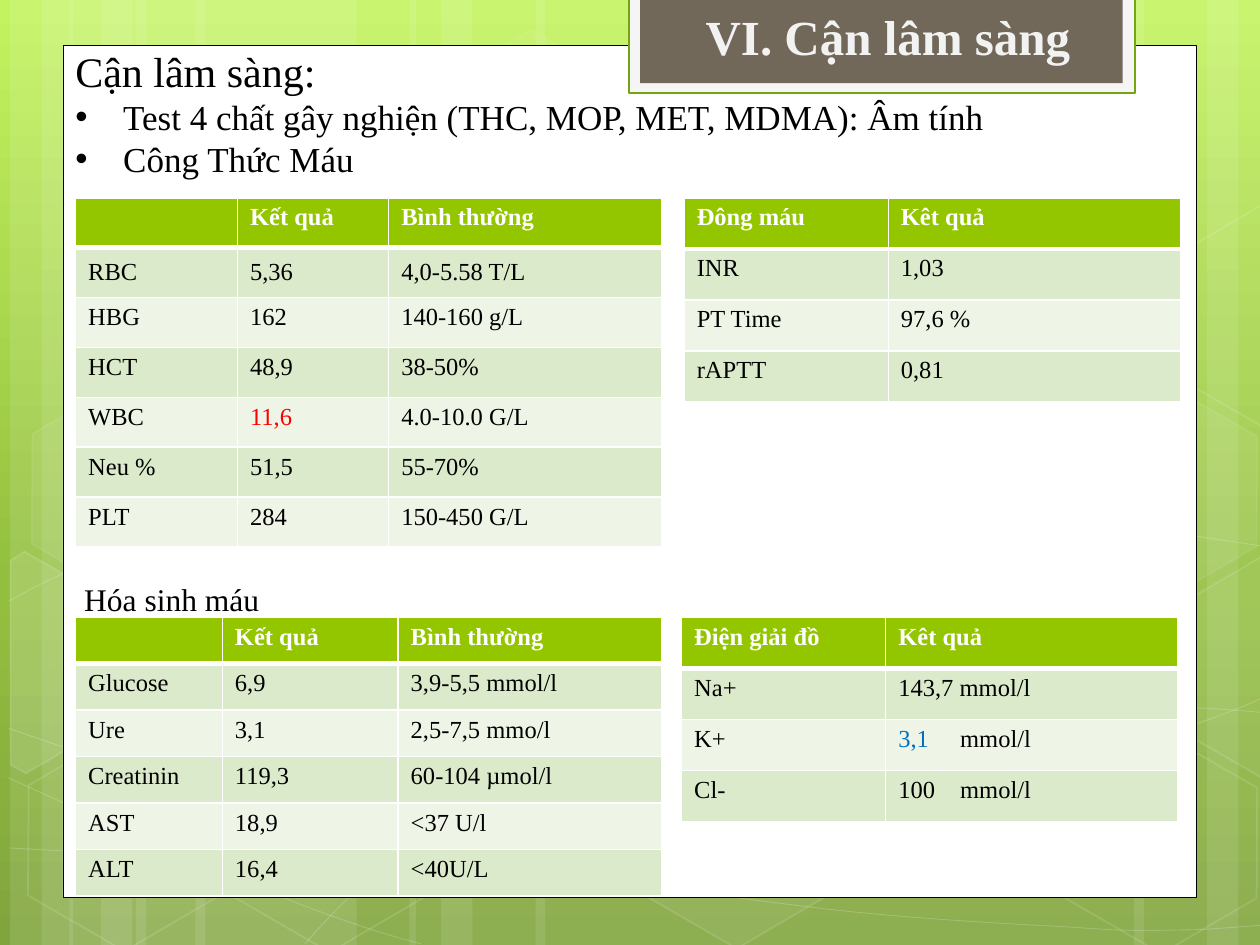
from copy import deepcopy
from dataclasses import dataclass

from lxml.etree import SubElement
from pptx import Presentation
from pptx.dml.color import RGBColor
from pptx.enum.shapes import MSO_SHAPE
from pptx.enum.text import MSO_ANCHOR, MSO_AUTO_SIZE, PP_ALIGN
from pptx.oxml.ns import qn
from pptx.util import Inches, Pt


@dataclass(frozen=True)
class Theme:
    font: str = "Times New Roman"
    white: str = "FFFFFF"
    black: str = "000000"
    red: str = "FF0000"
    blue: str = "0070C0"
    title: str = "F2F2F2"
    title_frame: str = "F5F5F5"
    title_edge: str = "74A510"
    title_fill: str = "71685A"
    header: str = "94C600"
    bands: tuple = ("DCEACC", "EEF5E7")
    backdrop: tuple = ((0, "C3F35F"), (0.62, "93BF3F"), (1, "81A53E"))
    title_size: int = 28
    lead_size: int = 24
    bullet_size: int = 20
    label_size: int = 18
    cell_size: int = 14


THEME = Theme()
COLUMNS, ROWS = 100, 75
TILT = 30

# Left, width in columns
STRIPES = [(10.8, 17.5), (0.8, 5), (3.3, 8.3), (15.5, 17.5), (5.5, 5), (8, 8.3),
           (73.3, 17.5), (95.8, 5), (90, 8.3), (42.5, 30.8), (32.5, 5), (35, 8.3)]
# Start point, then two handles and an end point for each bend
CURVES = [
    [(0.7, 67.3), (6.1, 67.6), (11.5, 67.9), (19, 67.8), (26.5, 67.7), (35.8, 67.5), (45.8, 66.5),
     (55.8, 65.5), (70, 63.6), (79.2, 61.7), (88.3, 59.8), (97.7, 56.8), (100.7, 55.1)],
    [(0.7, 47.7), (3.6, 46.1), (6.5, 44.6), (12.1, 43.1), (17.8, 41.6), (25.9, 39.4), (34.7, 38.7),
     (43.6, 38), (54.4, 37.9), (65.4, 38.7), (76.4, 39.5), (94.7, 42.6), (100.7, 43.4)],
    [(0.6, 61.7), (12.7, 67.2), (24.7, 72.7), (33.4, 74.9)],
    [(0.7, 57.8), (3.8, 58.9), (7, 60), (12.8, 61.6), (18.6, 63.1), (27.3, 65.6), (35.7, 67.3),
     (44, 69), (54.5, 70.8), (62.8, 71.8), (71.1, 72.9), (80, 73.3), (85.3, 73.6),
     (90.5, 74), (91.9, 73.8), (94.5, 73.8), (97.1, 73.7), (98.9, 73.5), (100.7, 73.4)],
    [(24.2, 74.9), (26, 72.9), (27.8, 70.9), (30.2, 69.1), (32.6, 67.3), (36, 65.3), (38.8, 63.9),
     (41.6, 62.5), (43.3, 61.9), (47, 60.9), (50.6, 59.9), (57.3, 58.5), (60.8, 57.8),
     (64.4, 57.1), (64.9, 57.1), (68, 56.9), (71.1, 56.6), (76, 56.3), (79.4, 56.2),
     (82.9, 56.1), (88.6, 56.2), (88.6, 56.2), (91, 56.2), (93, 56.2), (95.3, 56.2),
     (97.1, 56.3), (98.8, 56.4), (100.6, 56.6)],
]
# Left, top, opacity of the fill and of the line in percent
HEXAGONS = [(33.4, 3.6, 4, 8), (49.7, 58.9, 6, 12), (1.1, 59.1, 0, 12), (1.4, 31.2, 7, 8),
            (17.4, 59.2, 0, 12), (75.3, 45.3, 10, 12), (83.4, 59.3, 0, 12), (83.4, 31.4, 7, 8)]
# Hexagons cut by the slide's edge, corners before the tilt
LEFT_CUT = [(0, 1.2), (0.6, 0), (9.4, 0), (13.8, 7.7), (9.5, 15.2), (8.1, 15.2)]
RIGHT_CUT = [(0, 7.6), (4.3, 0), (5.2, 0), (13.6, 14.5), (13.2, 15.2), (4.4, 15.2)]
CUT_HEXAGONS = [(LEFT_CUT, -3.3, 45.9, 10), (RIGHT_CUT, 91.7, 44.4, 4), (RIGHT_CUT, 91.7, 16.5, 0)]

BLOOD_COUNT = [("", "Kết quả", "Bình thường"), ("RBC", "5,36", "4,0-5.58 T/L"),
               ("HBG", "162", "140-160 g/L"), ("HCT", "48,9", "38-50%"),
               ("WBC", [("11,6", THEME.red)], "4.0-10.0 G/L"),
               ("Neu %", "51,5", "55-70%"), ("PLT", "284", "150-450 G/L")]
BIOCHEMISTRY = [("", "Kết quả", "Bình thường"), ("Glucose", "6,9", "3,9-5,5 mmol/l"),
                ("Ure", "3,1", "2,5-7,5 mmo/l"), ("Creatinin", "119,3", "60-104 µmol/l"),
                ("AST", "18,9", "<37 U/l"), ("ALT", "16,4", "<40U/L")]
COAGULATION = [("Đông máu", "Kêt quả"), ("INR", "1,03"), ("PT Time", "97,6 %"), ("rAPTT", "0,81")]
ELECTROLYTES = [("Điện giải đồ", "Kêt quả"), ("Na+", "143,7 mmol/l"),
                ("K+", [("3,1", THEME.blue), ("\tmmol/l", THEME.black)]), ("Cl-", "100\tmmol/l")]


class SlideBuilder:
    def __init__(self, deck, theme):
        self.theme = theme
        self.column, self.row = deck.slide_width / COLUMNS, deck.slide_height / ROWS
        self.page = deck.slides.add_slide(deck.slide_layouts[5])

    def area(self, left, top, width, height):
        return [round(v * u) for v, u in zip((left, top, width, height), (self.column, self.row) * 2)]

    def backdrop(self):
        fill = self.page.background.fill
        fill.gradient()
        fill.gradient_angle = 270
        stops = self.page.element.find(".//" + qn("a:gsLst"))
        stops.append(deepcopy(stops[-1]))
        for stop, (position, color) in zip(fill.gradient_stops, self.theme.backdrop):
            stop.position, stop.color.rgb = position, RGBColor.from_string(color)

    def paint(self, shape, fill=None, opacity=100, line=None, weight=1, line_opacity=100):
        shape.shadow.inherit = False
        for target, color, share, place in ((shape.fill, fill, opacity, "a:solidFill"),
                                            (shape.line.fill, line, line_opacity, "a:ln/a:solidFill")):
            if not color or not share:
                target.background()
                continue
            target.solid()
            target.fore_color.rgb = RGBColor.from_string(color)
            if share < 100:
                where = "/".join(qn(name) for name in place.split("/"))
                SubElement(shape.element.spPr.find(where)[0], qn("a:alpha"), val=str(share * 1000))
        if line:
            shape.line.width = Pt(weight)

    def rectangle(self, area, **look):
        self.paint(self.page.shapes.add_shape(MSO_SHAPE.RECTANGLE, *self.area(*area)), **look)

    def hexagon(self, left, top, **look):
        shape = self.page.shapes.add_shape(MSO_SHAPE.HEXAGON, *self.area(left, top, 17.5, 15.2))
        shape.adjustments[0] = 0.285
        shape.rotation = TILT
        self.paint(shape, **look)

    def outline(self, points, close, **look):
        corners = [(x * self.column, y * self.row) for x, y in points]
        builder = self.page.shapes.build_freeform(*corners[0])
        builder.add_line_segments(corners[1:], close=close)
        shape = builder.convert_to_shape()
        self.paint(shape, **look)
        return shape

    def curve(self, points, **look):
        """Draw an open outline and turn each three of its segments into one cubic bend."""
        shape = self.outline(points, False, **look)
        segments = list(shape.element.iter(qn("a:lnTo")))
        for first in range(0, len(segments), 3):
            bend = SubElement(segments[first].getparent(), qn("a:cubicBezTo"))
            for segment in segments[first:first + 3]:
                bend.append(segment[0])
                segment.getparent().remove(segment)

    def format(self, para, size, color, bold=False):
        for span in para.runs:
            span.font.name, span.font.size, span.font.bold = self.theme.font, Pt(size), bold
            span.font.color.rgb = RGBColor.from_string(color)

    def title(self, text, area):
        box = self.page.shapes.title
        box.left, box.top, box.width, box.height = self.area(*area)
        frame = box.text_frame
        frame.text = text
        frame.auto_size, frame.vertical_anchor = MSO_AUTO_SIZE.NONE, MSO_ANCHOR.TOP
        frame.paragraphs[0].alignment = PP_ALIGN.LEFT
        self.format(frame.paragraphs[0], self.theme.title_size, self.theme.title, True)
        self.page.shapes.element.append(box.element)  # in front of its frame

    def text(self, lead, area, size, bullets=(), wrap=True):
        frame = self.page.shapes.add_textbox(*self.area(*area)).text_frame
        frame.word_wrap = wrap
        frame.text = "\n".join([lead, *bullets])
        self.format(frame.paragraphs[0], size, self.theme.black)
        for para in frame.paragraphs[1:]:
            self.format(para, self.theme.bullet_size, self.theme.black)
            properties = para._p.get_or_add_pPr()
            properties.set("marL", str(Inches(0.38)))
            properties.set("indent", str(-Inches(0.38)))
            SubElement(properties, qn("a:buFont"), typeface="Arial")
            SubElement(properties, qn("a:buChar"), char="•")

    def table(self, rows, left, top, widths, height):
        area = self.area(left, top, sum(widths), height)
        table = self.page.shapes.add_table(len(rows), len(widths), *area).table
        for column, width in zip(table.columns, widths):
            column.width = round(width * self.column)
        for index, values in enumerate(rows):
            for cell, value in zip(table.rows[index].cells, values):
                self.cell(cell, value, index)
        return table

    def cell(self, cell, value, index):
        theme = self.theme
        color = theme.black if index else theme.white
        spans = [(value, color)] if isinstance(value, str) else value
        para = cell.text_frame.paragraphs[0]
        para.text = spans[0][0]
        for text, _ in spans[1:]:
            para.add_run().text = text
        self.format(para, theme.cell_size, color, index == 0)
        for span, (_, shade) in zip(para.runs, spans):
            span.font.color.rgb = RGBColor.from_string(shade)
        if not para.runs:
            SubElement(para._p, qn("a:endParaRPr"), sz=str(theme.cell_size * 100))
        if "\t" in para.text:
            tabs = SubElement(para._p.get_or_add_pPr(), qn("a:tabLst"))
            SubElement(tabs, qn("a:tab"), pos=str(Inches(0.49)), algn="l")
        properties = cell._tc.get_or_add_tcPr()
        for side in "LRTB":
            thick = (side, index) in (("B", 0), ("T", 1))
            line = SubElement(properties, qn(f"a:ln{side}"), w=str(Pt(3 if thick else 1)))
            SubElement(SubElement(line, qn("a:solidFill")), qn("a:srgbClr"), val=theme.white)
        cell.fill.solid()
        cell.fill.fore_color.rgb = RGBColor.from_string(theme.bands[(index - 1) % 2] if index else theme.header)


def main():
    deck = Presentation()
    deck.slide_width, deck.slide_height = Inches(10), Inches(7.5)
    slide = SlideBuilder(deck, THEME)
    white = THEME.white
    slide.backdrop()
    for left, width in STRIPES:
        slide.rectangle((left, 0, width, ROWS), fill=white, opacity=10)
    for points in CURVES:
        slide.curve(points, line=white, weight=0.5, line_opacity=20)
    for left, top, opacity, line_opacity in HEXAGONS:
        slide.hexagon(left, top, fill=white, opacity=opacity, line=white, line_opacity=line_opacity)
    for corners, left, top, opacity in CUT_HEXAGONS:
        placed = [(left + x, top + y) for x, y in corners]
        slide.outline(placed, True, fill=white, opacity=opacity, line=white, line_opacity=12).rotation = TILT

    slide.rectangle((5, 3.6, 90, 67.6), fill=white, line=THEME.black, weight=0.5)
    slide.rectangle((49.9, -0.2, 40.2, 7.6), fill=THEME.title_frame, line=THEME.title_edge, weight=1.25)
    slide.rectangle((50.8, -0.2, 38.3, 6.8), fill=THEME.title_fill)
    slide.title("VI. Cận lâm sàng", (55, 0, 36.7, 5.7))
    slide.text("Cận lâm sàng:", (5, 3.1, 79.7, 18.5), THEME.lead_size,
               ["Test 4 chất gây nghiện (THC, MOP, MET, MDMA): Âm tính", "Công Thức Máu"])
    slide.text("Hóa sinh máu", (5.7, 45.5, 16.1, 7.1), THEME.label_size, wrap=False)
    blood_count = slide.table(BLOOD_COUNT, 6, 15.7, (12.85, 12, 21.65), 27.7)
    for cell in blood_count.rows[1].cells:
        cell.vertical_anchor = MSO_ANCHOR.MIDDLE
    slide.table(BIOCHEMISTRY, 6, 49, (11.65, 13.95, 20.9), 22.1)
    slide.table(COAGULATION, 54.3, 15.7, (16.2, 23.2), 16.2)
    slide.table(ELECTROLYTES, 54.1, 49, (16.2, 23.2), 16.2)
    deck.save("out.pptx")


if __name__ == "__main__":
    main()
